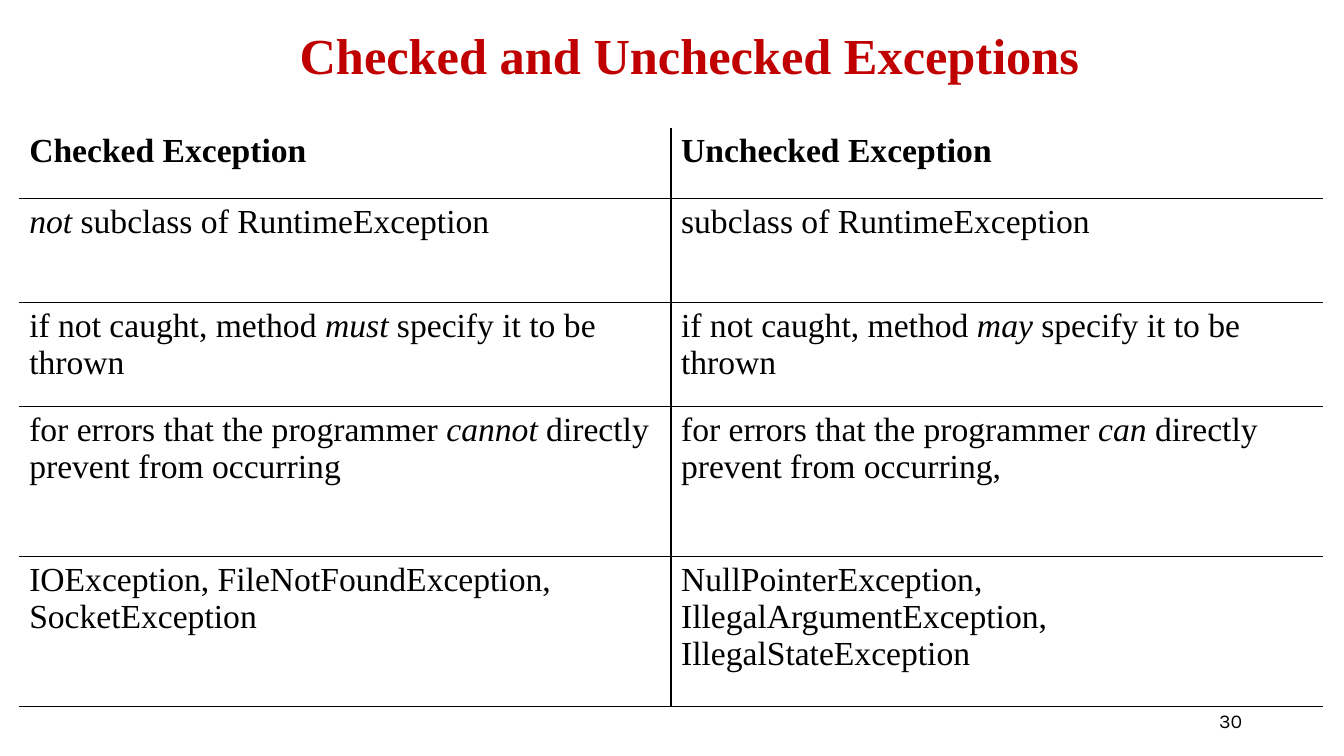
from lxml import etree
from pptx import Presentation
from pptx.dml.color import RGBColor
from pptx.enum import text
from pptx.oxml import ns
from pptx.util import Inches, Pt

WIDTH, HEIGHT = 13.33, 7.5
SERIF, SANS = "Times New Roman", "Karla"
BLACK, RED = "000000", "C00000"

TITLE = "Checked and Unchecked Exceptions"
PAGE = "30"
# Each cell is a list of pieces; every second piece is emphasised.
COMPARISON = [
    (["Checked Exception"], ["Unchecked Exception"]),
    (["", "not", " subclass of RuntimeException"],
     ["subclass of RuntimeException"]),
    (["if not caught, method ", "must", " specify it to be thrown"],
     ["if not caught, method ", "may", " specify it to be thrown"]),
    (["for errors that the programmer ", "cannot", " directly prevent from occurring"],
     ["for errors that the programmer ", "can", " directly prevent from occurring,"]),
    (["IOException, FileNotFoundException, SocketException"],
     ["NullPointerException, IllegalArgumentException, IllegalStateException"]),
]
ROW_HEIGHTS = [0.7, 1.03, 1.03, 1.49, 1.49]
TABLE_LEFT, TABLE_TOP, TABLE_WIDTH = 0.19, 1.27, 12.93


def write(frame, pieces, size, font=SERIF, color=BLACK, bold=False,
          align=text.PP_ALIGN.LEFT, spacing=None):
    paragraph = frame.paragraphs[0]
    paragraph.alignment = align
    paragraph.line_spacing = spacing
    for index, piece in enumerate(pieces):
        if not piece:
            continue
        run = paragraph.add_run()
        run.text = piece
        run.font.name, run.font.size = font, Pt(size)
        run.font.bold, run.font.italic = bold, index % 2 == 1
        run.font.color.rgb = RGBColor.from_string(color)


def set_borders(cell, drawn, width=1):
    """Draw the sides named in drawn (of L, R, T, B) and clear the others."""
    properties = cell._tc.get_or_add_tcPr()
    for position, side in enumerate("LRTB"):
        line = etree.Element(ns.qn(f"a:ln{side}"), w=str(Pt(width)))
        if side in drawn:
            fill = etree.SubElement(line, ns.qn("a:solidFill"))
            etree.SubElement(fill, ns.qn("a:srgbClr"), val=BLACK)
        else:
            etree.SubElement(line, ns.qn("a:noFill"))
        properties.insert(position, line)


def add_comparison(slide):
    columns = len(COMPARISON[0])
    table = slide.shapes.add_table(
        len(COMPARISON), columns, Inches(TABLE_LEFT), Inches(TABLE_TOP),
        Inches(TABLE_WIDTH), Inches(sum(ROW_HEIGHTS))).table
    table.first_row = table.horz_banding = False
    for column in table.columns:
        column.width = Inches(TABLE_WIDTH / columns)
    for r, (height, entries) in enumerate(zip(ROW_HEIGHTS, COMPARISON)):
        table.rows[r].height = Inches(height)
        for c, pieces in enumerate(entries):
            cell = table.cell(r, c)
            cell.fill.background()
            write(cell.text_frame, pieces, 24, bold=r == 0)
            inner = ("L" if c else "") + ("R" if c < columns - 1 else "")
            set_borders(cell, inner + ("TB" if r else "B"))


def main():
    deck = Presentation()
    deck.slide_width, deck.slide_height = Inches(WIDTH), Inches(HEIGHT)
    slide = deck.slides.add_slide(deck.slide_layouts[5])

    title = slide.shapes.title
    title.left, title.top = Inches(2.58), Inches(0.07)
    title.width, title.height = Inches(8.52), Inches(1.02)
    title.text_frame.vertical_anchor = text.MSO_ANCHOR.MIDDLE
    write(title.text_frame, [TITLE], 36, color=RED, bold=True,
          align=text.PP_ALIGN.CENTER, spacing=0.9)

    add_comparison(slide)

    page = slide.shapes.add_textbox(
        Inches(9.42), Inches(6.95), Inches(3), Inches(0.4)).text_frame
    page.word_wrap = True
    page.vertical_anchor = text.MSO_ANCHOR.MIDDLE
    write(page, [PAGE], 14, font=SANS, align=text.PP_ALIGN.RIGHT)

    deck.save("out.pptx")


if __name__ == "__main__":
    main()
